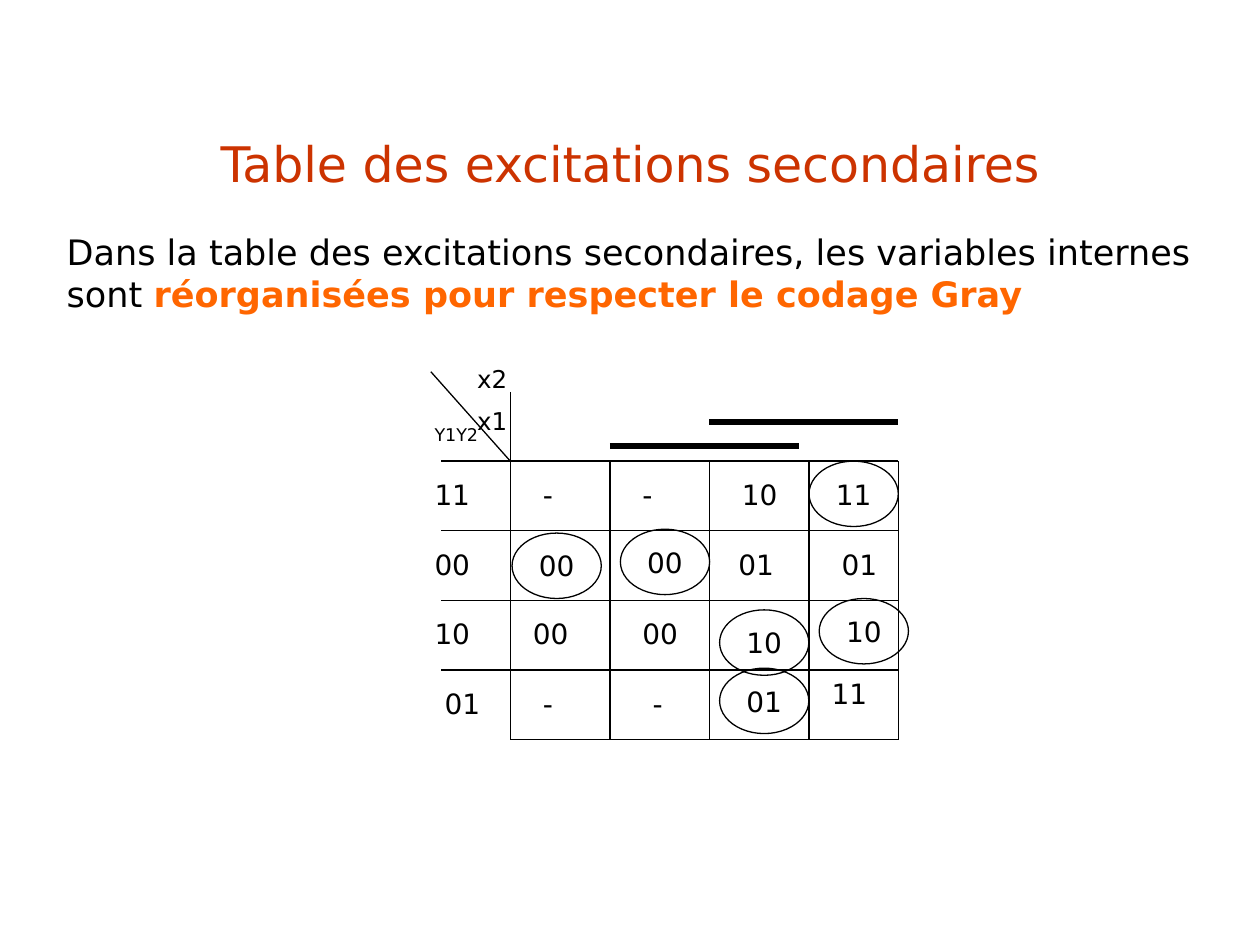
from dataclasses import dataclass

from lxml.etree import SubElement
from pptx import Presentation
from pptx.dml.color import RGBColor
from pptx.enum.shapes import MSO_CONNECTOR, MSO_SHAPE
from pptx.enum.text import MSO_ANCHOR, PP_ALIGN
from pptx.oxml.ns import qn
from pptx.util import Pt


@dataclass(frozen=True)
class Theme:
    font: str = "DejaVu Sans"
    ink: str = "000000"
    title: str = "CC3300"
    accent: str = "FF6600"
    head: int = 28
    body: int = 20
    cell: int = 16
    axis: int = 14
    note: int = 10
    thin: float = 0.75
    thick: float = 3


THEME = Theme()

# Each cell: text, shift right, shift down, circled
CELLS = [
    [("-", 11.5, 5.8, False), ("-", 11.5, 5.8, False),
     ("10", 11.5, 5.8, False), ("11", 0, 0, True)],
    [("00", 1, 1.3, True), ("00", 6, -0.9, True),
     ("01", 9.4, 5.8, False), ("01", 11.5, 5.8, False)],
    [("00", 5.8, 5.8, False), ("00", 11.5, 5.8, False),
     ("10", 5.8, 5.4, True), ("10", 5.8, -1.1, True)],
    [("-", 11.5, 5.8, False), ("-", 17.3, 5.8, False),
     ("01", 5.8, -1.1, True), ("11", 5.8, 0, False)],
]
# Each row label: text, shift from the grid's left edge
LABELS = [("11", -50.4), ("00", -50.4), ("10", -50.4), ("01", -44.6)]


def add_run(para, text, size, color=THEME.ink, bold=False):
    run = para.add_run()
    run.text = text
    font = run.font
    font.name, font.size, font.bold = THEME.font, Pt(size), bold
    font.color.rgb = RGBColor.from_string(color)


def add_box(slide, x, y, w, h):
    frame = slide.shapes.add_textbox(Pt(x), Pt(y), Pt(w), Pt(h)).text_frame
    frame.word_wrap = True
    return frame


def add_label(slide, x, y, w, h, text, size):
    frame = add_box(slide, x, y, w, h)
    add_run(frame.paragraphs[0], text, size)
    return frame


def add_line(slide, x1, y1, x2, y2, width=THEME.thin):
    line = slide.shapes.add_connector(
        MSO_CONNECTOR.STRAIGHT, Pt(x1), Pt(y1), Pt(x2), Pt(y2))
    line.line.width = Pt(width)
    line.line.color.rgb = RGBColor.from_string(THEME.ink)
    SubElement(line._element.spPr, qn("a:effectLst"))


def add_ring(slide, x, y, w, h, text):
    ring = slide.shapes.add_shape(MSO_SHAPE.OVAL, Pt(x), Pt(y), Pt(w), Pt(h))
    ring.shadow.inherit = False
    ring.fill.background()
    ring.line.width = Pt(THEME.thin)
    ring.line.color.rgb = RGBColor.from_string(THEME.ink)
    frame = ring.text_frame
    frame.word_wrap = False
    frame.vertical_anchor = MSO_ANCHOR.MIDDLE
    para = frame.paragraphs[0]
    para.alignment = PP_ALIGN.CENTER
    add_run(para, text, THEME.cell)


def add_title(slide, x, y, w, h):
    frame = add_box(slide, x, y, w, h)
    frame.vertical_anchor = MSO_ANCHOR.MIDDLE
    para = frame.paragraphs[0]
    para.alignment = PP_ALIGN.CENTER
    add_run(para, "Table des excitations secondaires", THEME.head, THEME.title)


def add_intro(slide, x, y, w, h):
    para = add_box(slide, x, y, w, h).paragraphs[0]
    add_run(para, "Dans la table des excitations secondaires, "
                  "les variables internes sont ", THEME.body)
    add_run(para, "réorganisées pour respecter le codage Gray",
            THEME.body, THEME.accent, True)


def add_corner(slide, x, y):
    """Variable names above and left of the grid's top left corner."""
    add_line(slide, x, y, x - 45.4, y - 51.1)
    frame = add_label(slide, x - 26, y - 59, 34, 49, "x2", THEME.axis)
    para = frame.add_paragraph()
    para.space_before = Pt(THEME.axis / 2)
    add_run(para, "x1", THEME.axis)
    add_label(slide, x - 50.4, y - 24.5, 43, 19.5, "Y1Y2", THEME.note)


def add_grid(slide, x, y, w, h):
    """Excitation table; the box spans the ruled cells."""
    step, high = 56.9, h / len(CELLS)
    cols = [x + step * i for i in range(4)] + [x + w]
    rows = [y + high * i for i in range(len(CELLS) + 1)]

    # Rules: the first column rises, all rows but the last reach the labels
    for col in cols:
        add_line(slide, col, y - 39.6 if col == x else y, col, y + h)
    for row in rows:
        add_line(slide, x if row == rows[-1] else x - 39.6, row, x + w, row)

    # Bars where each input is 1
    for col, rise in ((cols[2], 22.3), (cols[1], 8.6)):
        add_line(slide, col, y - rise, col + 108, y - rise, THEME.thick)

    add_corner(slide, x, y)

    # Row labels and cells
    for top, (name, shift), line in zip(rows, LABELS, CELLS):
        add_label(slide, x + shift, top + 5.8, 40, 26.6, name, THEME.cell)
        for left, (text, dx, dy, ring) in zip(cols, line):
            if ring:
                add_ring(slide, left + dx, top + dy, 51, 37.4, text)
            else:
                add_label(slide, left + dx, top + dy, 40, 26.6, text, THEME.cell)


def main():
    deck = Presentation()
    deck.slide_width, deck.slide_height = Pt(720), Pt(540)
    slide = deck.slides.add_slide(deck.slide_layouts[6])
    add_title(slide, 54, 48, 612, 90)
    add_intro(slide, 31, 128.2, 666, 55.4)
    add_grid(slide, 291.6, 263.5, 221.8, 159.2)
    deck.save("out.pptx")


if __name__ == "__main__":
    main()
